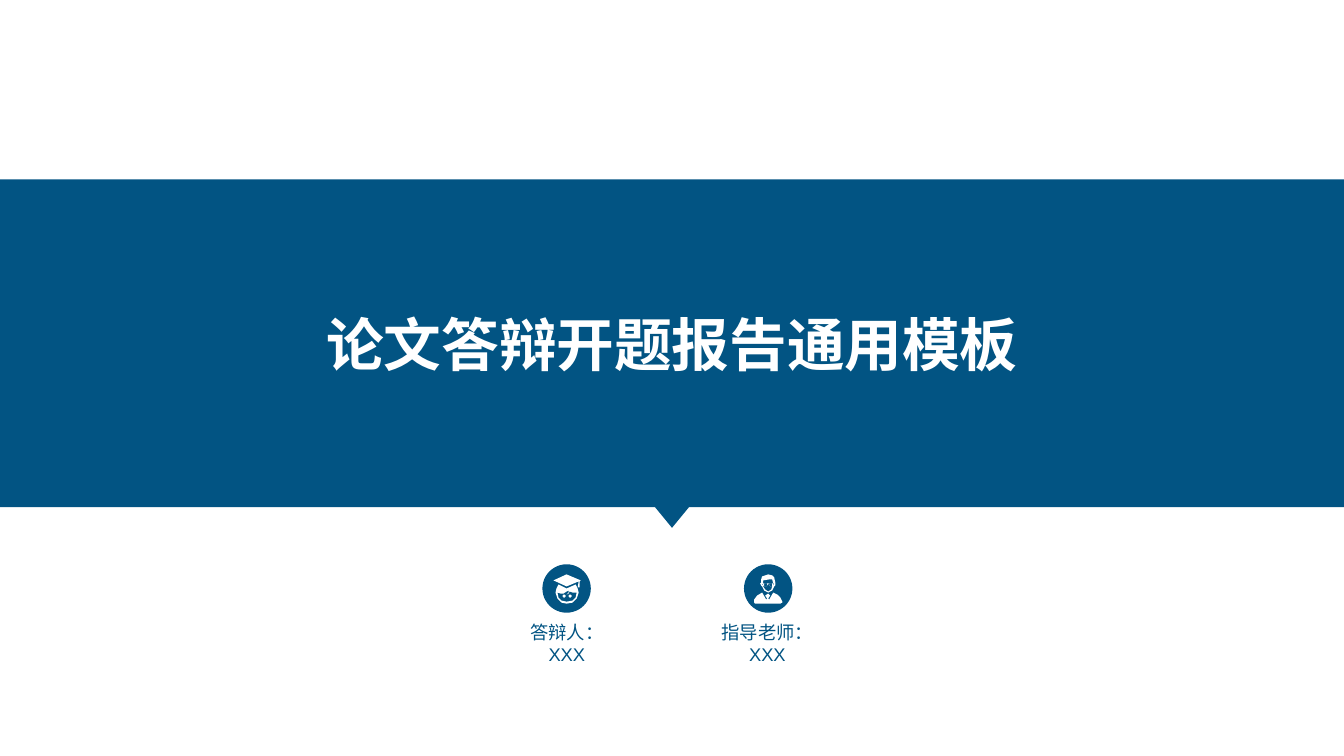
"""Build the title slide of a thesis defence deck."""
import pptx
import pptx.util
import pptx.dml.color
import pptx.enum.shapes
import pptx.enum.text

Cm, Pt = pptx.util.Cm, pptx.util.Pt
RGB = pptx.dml.color.RGBColor
Kind = pptx.enum.shapes.MSO_SHAPE
Text = pptx.enum.text


class Theme:
    blue = RGB(0x02, 0x54, 0x83)
    white = RGB(0xFF, 0xFF, 0xFF)
    font = "Arial"
    title = Pt(41.2)
    label = Pt(13.1)


def paint(shape, color):
    shape.shadow.inherit = False
    shape.fill.solid()
    shape.fill.fore_color.rgb = color
    shape.line.fill.background()


def write(shape, words, size, color, bold=False):
    frame = shape.text_frame
    frame.word_wrap = True
    line = frame.paragraphs[0]
    line.text = words
    line.alignment = Text.PP_ALIGN.CENTER
    font = line.font
    font.name, font.size, font.bold = Theme.font, size, bold
    font.color.rgb = color


deck = pptx.Presentation()
deck.slide_width, deck.slide_height = Cm(33.87), Cm(19.05)
slide = deck.slides.add_slide(deck.slide_layouts[6])
shapes = slide.shapes

band = shapes.add_shape(Kind.RECTANGLE, 0, Cm(4.52), deck.slide_width, Cm(8.26))
paint(band, Theme.blue)
band.text_frame.vertical_anchor = Text.MSO_ANCHOR.MIDDLE
write(band, "论文答辩开题报告通用模板", Theme.title, Theme.white, True)

notch = shapes.add_shape(Kind.ISOSCELES_TRIANGLE, Cm(16.5), Cm(12.77), Cm(0.87), Cm(0.53))
notch.rotation = 180
paint(notch, Theme.blue)

cap = [(38, 16), (24, 10), (11, 16), (24, 22), (36, 17), (35, 23), (37, 23), (37, 17)]
face = [(24.5, 24), (16, 20), (14, 24), (13, 28), (15, 34), (19, 38), (24.5, 39),
        (30, 38), (34, 34), (36, 28), (35, 24), (33, 20)]
cheek = [(34, 28), (33, 33), (30, 36), (24.5, 37), (19, 36), (16, 33), (15, 28),
         (18, 29.3), (21, 29), (24, 27), (26, 26), (25.5, 28.5), (24, 30),
         (26, 29), (27, 27), (30, 28.3)]
eye = [(20, 31), (21, 30), (22, 30), (23, 31), (23, 32), (22, 33), (21, 33), (20, 32)]
twin = [(x + 6, y) for x, y in eye]

coat = [(29, 28), (25, 35), (24.5, 34), (26, 31), (24, 29), (21, 31), (23, 34),
        (22, 35), (18, 28), (13, 31), (10, 35), (10, 38), (11, 39), (36, 39),
        (38, 38), (38, 37), (36, 33), (33, 30)]
head = [(31, 19), (31, 18), (30, 13), (28, 11), (24, 10.5), (18, 12), (17, 15),
        (17, 18), (16, 19), (17, 21), (18, 22), (20, 26), (24, 28), (28, 26),
        (30, 22), (31, 21)]
skin = [(29, 21), (28, 22), (27, 25), (24, 27), (21, 25), (19, 22), (19, 21),
        (18, 20), (19, 19), (19, 16), (25, 15), (28, 15), (29, 19), (30, 19)]
rim = [(19, 19), (24, 19), (23, 21), (22, 22), (20, 22), (19, 21)]
glass = [(20, 19.4), (23, 19.4), (22.6, 21), (22, 21.6), (20.4, 21.6), (19.6, 20.8)]
left = [rim, glass]
right = [[(48 - x, y) for x, y in ring] for ring in left]

people = [
    ("答辩人：XXX", 12.62, 3.33, 13.67, [[cap], [face, cheek], [eye], [twin]]),
    ("指导老师：XXX", 17.45, 3.78, 18.75, [[coat], [head, skin], left, right]),
]
top, size = Cm(14.22), Cm(1.22)
unit = Cm(2.54) / 100

for words, start, width, edge, parts in people:
    label = shapes.add_textbox(Cm(start), Cm(15.54), Cm(width), Cm(0.81))
    write(label, words, Theme.label, Theme.blue)
    frame = label.text_frame
    frame.margin_left = frame.margin_right = Cm(0.5)
    frame.auto_size = Text.MSO_AUTO_SIZE.SHAPE_TO_FIT_TEXT

    icon = shapes.add_group_shape().shapes
    disc = icon.add_shape(Kind.OVAL, Cm(edge), top, size, size)
    paint(disc, Theme.blue)
    for rings in parts:
        pen = icon.build_freeform(*rings[0][0], scale=unit)
        for ring in rings:
            if ring is not rings[0]:
                pen.move_to(*ring[0])
            pen.add_line_segments(ring[1:], close=True)
        paint(pen.convert_to_shape(Cm(edge), top), Theme.white)

deck.save("out.pptx")
